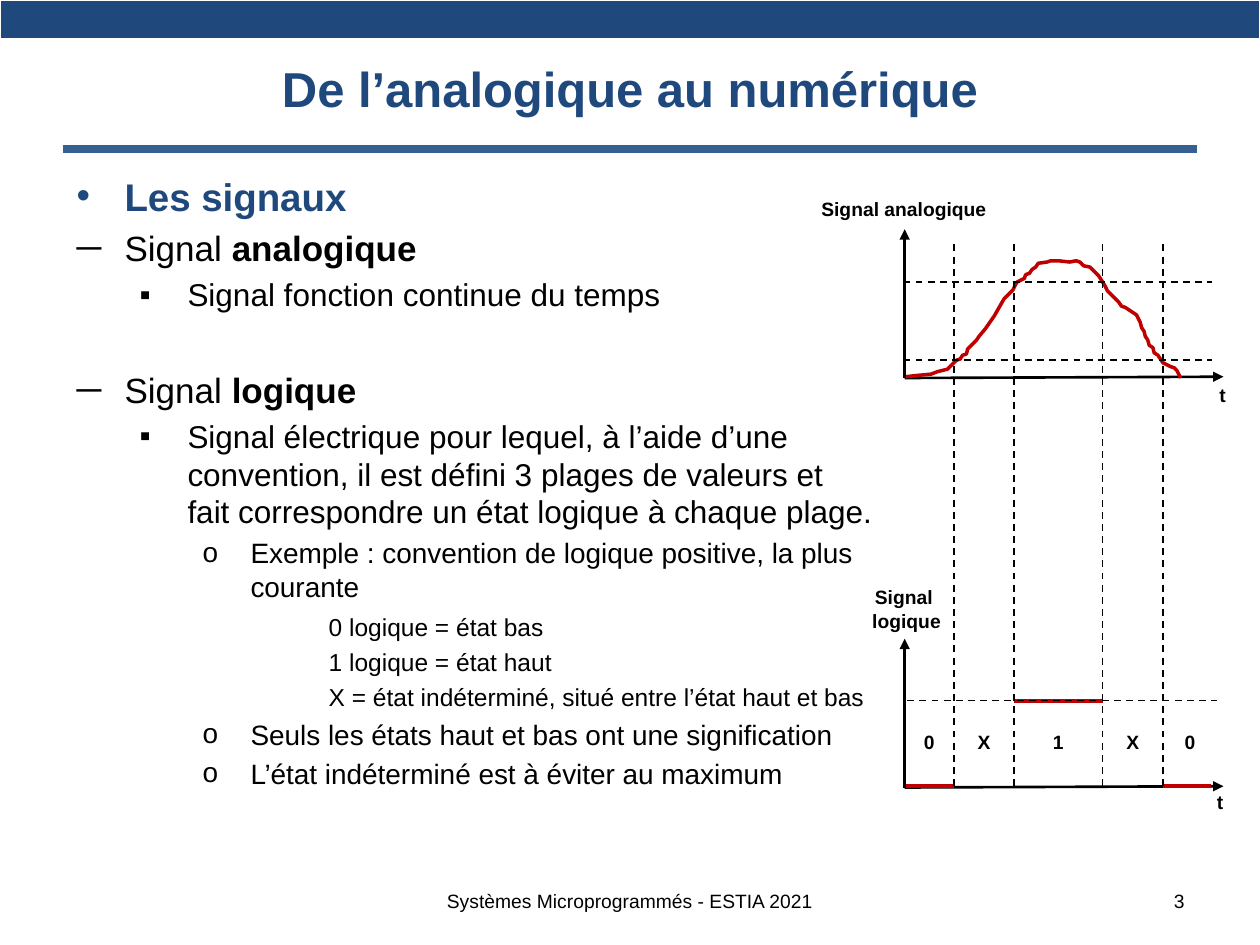
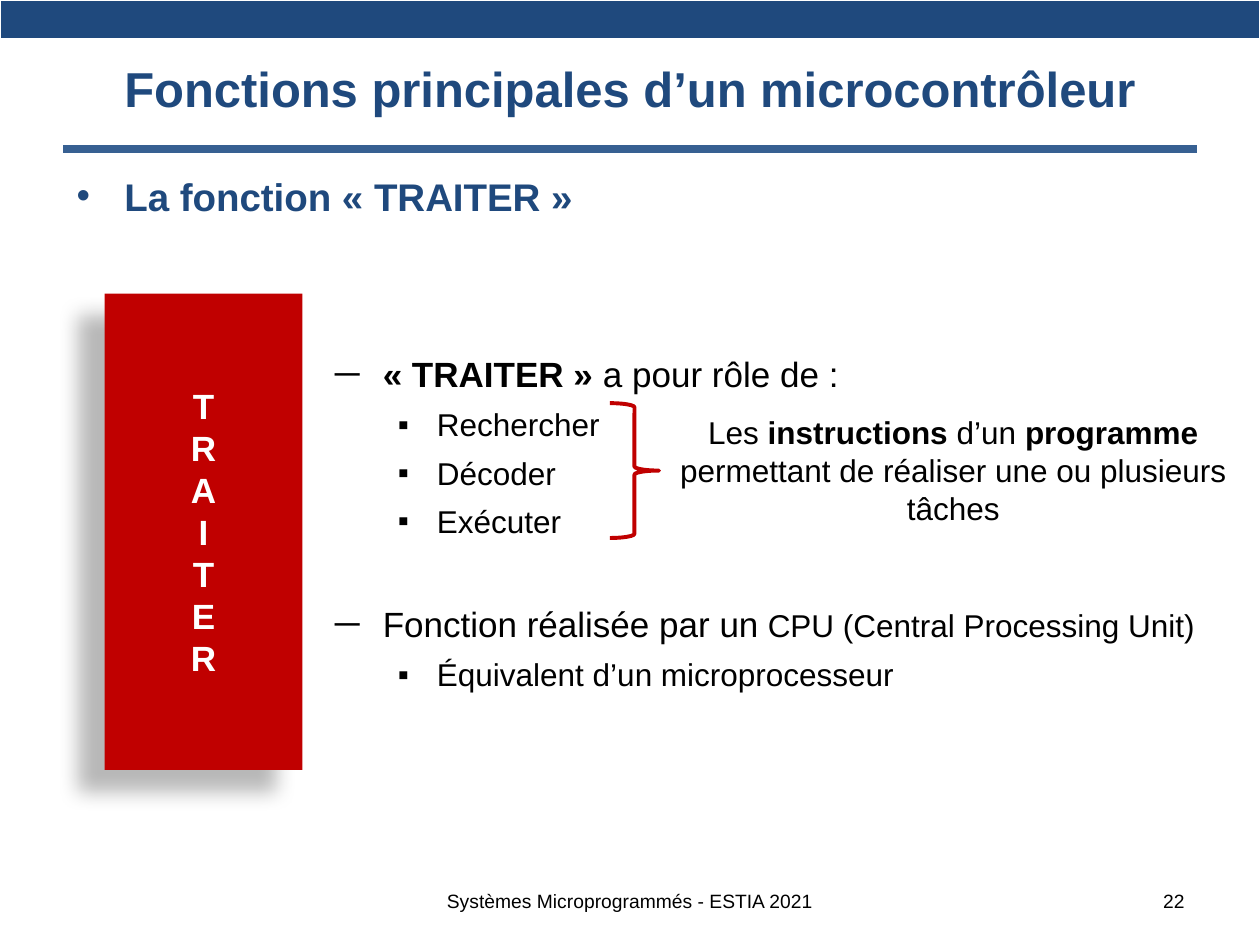
"""Build two course slides: analogue and logic signals, and the processing function of a microcontroller."""
import pptx
import pptx.util
import pptx.dml.color
import pptx.enum.dml
import pptx.enum.shapes
import pptx.enum.text
import pptx.oxml
import pptx.oxml.ns
import lxml.etree

Inches = pptx.util.Inches
Pt = pptx.util.Pt
ALIGN = pptx.enum.text.PP_ALIGN
MIDDLE = pptx.enum.text.MSO_ANCHOR.MIDDLE
FIT = pptx.enum.text.MSO_AUTO_SIZE.SHAPE_TO_FIT_TEXT
SHAPES = pptx.enum.shapes.MSO_SHAPE
DASH = pptx.enum.dml.MSO_LINE.DASH
qn = pptx.oxml.ns.qn

COLORS = {name: pptx.dml.color.RGBColor.from_string(value) for name, value in {
    "navy": "1F497D", "rule": "376092", "red": "C00000", "black": "000000", "white": "FFFFFF",
}.items()}

STYLES = {
    "title": {"size": 28, "bold": True, "color": "navy", "align": ALIGN.CENTER},
    "footer": {"size": 11, "align": ALIGN.CENTER},
    "number": {"size": 11, "align": ALIGN.RIGHT},
    "label": {"size": 11, "bold": True},
    "centred label": {"size": 11, "bold": True, "align": ALIGN.CENTER},
    "heading": {"size": 22, "bold": True, "color": "navy", "left": 0.38, "hang": 0.38, "bullet": "•"},
    "topic": {"size": 20, "left": 0.38, "hang": 0.38, "bullet": "─", "before": 4.5},
    "next topic": {"size": 20, "left": 0.38, "hang": 0.38, "bullet": "─", "before": 31.5},
    "point": {"size": 18, "left": 0.88, "hang": 0.38, "bullet": "▪", "before": 3.8},
    "detail": {"size": 16, "left": 1.38, "hang": 0.38, "bullet": "o", "before": 3.2},
    "first state": {"size": 14, "left": 2, "before": 5},
    "state": {"size": 14, "left": 2, "before": 3.3},
    "role": {"size": 20, "left": 0.38, "hang": 0.38, "bullet": "─", "align": ALIGN.JUSTIFY},
    "next role": {"size": 20, "left": 0.38, "hang": 0.38, "bullet": "─", "align": ALIGN.JUSTIFY, "before": 36},
    "step": {"size": 18, "left": 0.81, "hang": 0.31, "bullet": "▪", "align": ALIGN.JUSTIFY, "before": 6},
    "remark": {"size": 18, "align": ALIGN.CENTER},
    "block": {"size": 20, "bold": True, "color": "white", "align": ALIGN.CENTER},
}
BOLD = {"bold": True}


def write(shape, paragraphs, **frame_format):
    """Fill a shape with styled paragraphs, each a style name followed by its runs."""
    frame = shape.text_frame
    for name, value in {"word_wrap": True, **frame_format}.items():
        setattr(frame, name, value)
    for index, (style_name, *runs) in enumerate(paragraphs):
        style = STYLES[style_name]
        paragraph = frame.add_paragraph() if index else frame.paragraphs[0]
        properties = paragraph._p.get_or_add_pPr()
        if "left" in style:
            properties.set("marL", str(Inches(style["left"])))
            properties.set("indent", str(-Inches(style.get("hang", 0))))
        if "bullet" in style:
            lxml.etree.SubElement(properties, qn("a:buFont")).set("typeface", "Arial")
            lxml.etree.SubElement(properties, qn("a:buChar")).set("char", style["bullet"])
        paragraph.alignment = style.get("align", ALIGN.LEFT)
        paragraph.space_before = Pt(style.get("before", 0) if index else 0)
        for item in runs:
            words, changes = (item, {}) if isinstance(item, str) else item
            look = {**style, **changes}
            run = paragraph.add_run()
            run.text = words
            font_format = {"name": "Arial", "size": Pt(look["size"]), "bold": look.get("bold", False)}
            for name, value in font_format.items():
                setattr(run.font, name, value)
            run.font.color.rgb = COLORS[look.get("color", "black")]


def draw_line(slide, ends, color, width, dash=None, arrow=False):
    """Draw a straight line between two points given in inches."""
    line = slide.shapes.add_connector(pptx.enum.shapes.MSO_CONNECTOR.STRAIGHT, *map(Inches, ends))
    line.line.color.rgb = COLORS[color]
    line.line.width = Pt(width)
    if dash:
        line.line.dash_style = dash
    if arrow:
        lxml.etree.SubElement(line.line._get_or_add_ln(), qn("a:tailEnd")).set("type", "triangle")
    lxml.etree.SubElement(line._element.spPr, qn("a:effectLst"))


deck = pptx.Presentation()
deck.slide_width, deck.slide_height = Inches(10), Inches(7.5)

pages = []
for title, number in [("De l’analogique au numérique", "3"), ("Fonctions principales d’un microcontrôleur", "22")]:
    page = deck.slides.add_slide(deck.slide_layouts[6])
    draw_line(page, (0.5, 1.18, 9.5, 1.18), "rule", 4.5)
    band = page.shapes.add_table(1, 1, 0, 0, deck.slide_width, Inches(0.31)).table
    band.first_row = band.horz_banding = False
    band_cell = band.cell(0, 0)
    for side in ("left", "top", "right", "bottom"):
        setattr(band_cell, f"margin_{side}", 0)
    band_cell.fill.solid()
    band_cell.fill.fore_color.rgb = COLORS["navy"]
    for style_name, words, place in [
        ("number", number, (7.17, 6.95, 2.33, 0.4)),
        ("title", title, (0.5, 0.16, 9, 1.08)),
        ("footer", "Systèmes Microprogrammés - ESTIA 2021", (2.83, 6.95, 4.34, 0.4)),
    ]:
        write(page.shapes.add_textbox(*map(Inches, place)), [(style_name, words)], vertical_anchor=MIDDLE)
    pages.append(page)
signals, processing = pages

write(signals.shapes.add_textbox(*map(Inches, (0.51, 1.32, 6.52, 5.49))), [
    ("heading", "Les signaux"),
    ("topic", "Signal ", ("analogique", BOLD)),
    ("point", "Signal fonction continue du temps"),
    ("next topic", "Signal ", ("logique", BOLD)),
    ("point", "Signal électrique pour lequel, à l’aide d’une convention, il est défini 3 plages de valeurs "
              "et fait correspondre un état logique à chaque plage."),
    ("detail", "Exemple : convention de logique positive, la plus courante"),
    ("first state", "0 logique = état bas"),
    ("state", "1 logique = état haut"),
    ("state", "X = état indéterminé, situé entre l’état haut et bas"),
    ("detail", "Seuls les états haut et bas ont une signification"),
    ("detail", "L’état indéterminé est à éviter au maximum"),
])

origin, axis_end = 7.18, 9.71
for base in (3, 6.25):
    draw_line(signals, (origin, base, origin, base - 1.18), "black", 1.5, arrow=True)
    draw_line(signals, (origin, base, axis_end, base - 0.01), "black", 1.5, arrow=True)

curve_points = [
    (719, 299), (728, 298), (739, 297), (744, 295), (752, 293), (757, 288), (759, 286), (762, 285),
    (764, 282), (767, 281), (768, 277), (770, 275), (775, 270), (777, 267), (782, 261), (789, 251),
    (793, 244), (797, 237), (804, 230), (807, 224), (813, 221), (814, 218), (817, 217), (819, 214),
    (822, 212), (824, 209), (831, 208), (834, 207), (840, 207), (849, 208), (854, 207), (857, 208),
    (860, 211), (865, 212), (872, 219), (877, 227), (879, 231), (884, 236), (888, 240), (890, 243),
    (893, 244), (896, 246), (902, 250), (905, 256), (906, 260), (908, 263), (909, 267), (911, 270),
    (912, 274), (915, 276), (916, 280), (919, 282), (921, 285), (923, 288), (929, 291), (932, 292),
    (934, 294), (937, 300),
]
outline = signals.shapes.build_freeform(*curve_points[0], scale=Inches(0.01))
outline.add_line_segments(curve_points[1:], close=False)
analogue_curve = outline.convert_to_shape()
analogue_curve.shadow.inherit = False
analogue_curve.fill.background()
analogue_curve.line.color.rgb = COLORS["red"]
analogue_curve.line.width = Pt(2)

crossings = [7.57, 8.05, 8.75, 9.23]
for start, end, level in [(7.19, 7.57, 6.24), (8.05, 8.75, 5.56), (9.23, 9.61, 6.24)]:
    draw_line(signals, (start, level, end, level), "red", 2.25)
for start, end, level in [(7.17, 9.62, 2.24), (7.17, 9.62, 2.86), (7.2, 9.66, 5.56)]:
    draw_line(signals, (start, level, end, level), "black", 1, DASH)
for crossing in crossings:
    draw_line(signals, (crossing, 1.94, crossing, 6.25), "black", 1, DASH)

for place, paragraphs in [
    ((9.58, 2.99, 0.25, 0.29), [("label", "t")]),
    ((9.56, 6.22, 0.25, 0.29), [("label", "t")]),
    ((6.42, 1.52, 1.52, 0.29), [("label", "Signal analogique")]),
    ((6.82, 4.6, 0.75, 0.47), [("centred label", "Signal "), ("centred label", "logique")]),
]:
    write(signals.shapes.add_textbox(*map(Inches, place)), paragraphs, word_wrap=False, auto_size=FIT)

edges = [origin, *crossings, 9.66]
for state, start, end in zip("0X1X0", edges, edges[1:]):
    state_box = signals.shapes.add_textbox(*map(Inches, (start, 5.75, end - start, 0.29)))
    write(state_box, [("centred label", state)], auto_size=FIT)

write(processing.shapes.add_textbox(*map(Inches, (0.51, 1.32, 9.06, 5.49))), [("heading", "La fonction « TRAITER »")])

process_block = processing.shapes.add_shape(SHAPES.RECTANGLE, *map(Inches, (0.83, 2.33, 1.57, 3.78)))
process_block.fill.solid()
process_block.fill.fore_color.rgb = COLORS["red"]
process_block.line.fill.background()
process_block.shadow.inherit = False
process_block._element.spPr.find(qn("a:effectLst")).append(pptx.oxml.parse_xml(
    '<a:outerShdw xmlns:a="http://schemas.openxmlformats.org/drawingml/2006/main" '
    f'blurRad="{Pt(11.8)}" dist="{Pt(19.7)}" dir="{141 * 60000}" algn="ctr" rotWithShape="0">'
    '<a:srgbClr val="000000"><a:alpha val="28000"/></a:srgbClr></a:outerShdw>'))
write(process_block, [("block", "TRAITER")], vertical_anchor=MIDDLE)
process_block._element.txBody.bodyPr.set("vert", "wordArtVert")

write(processing.shapes.add_textbox(*map(Inches, (2.56, 2.34, 7.17, 3.62))), [
    ("role", ("« TRAITER » ", BOLD), "a pour rôle de :"),
    ("step", "Rechercher"),
    ("step", "Décoder"),
    ("step", "Exécuter"),
    ("next role", "Fonction réalisée par un", (" CPU (Central Processing Unit)", {"size": 18})),
    ("step", "Équivalent d’un microprocesseur"),
], vertical_anchor=MIDDLE)

steps_brace = processing.shapes.add_shape(SHAPES.RIGHT_BRACE, *map(Inches, (4.84, 3.2, 0.39, 1.07)))
steps_brace.shadow.inherit = False
steps_brace.fill.background()
steps_brace.line.color.rgb = COLORS["red"]
steps_brace.line.width = Pt(2.25)

write(processing.shapes.add_textbox(*map(Inches, (5.24, 3.23, 4.65, 1.01))), [
    ("remark", "Les ", ("instructions", BOLD), " d’un ", ("programme", BOLD)),
    ("remark", "permettant de réaliser une ou plusieurs tâches"),
], auto_size=FIT)

deck.save("out.pptx")
